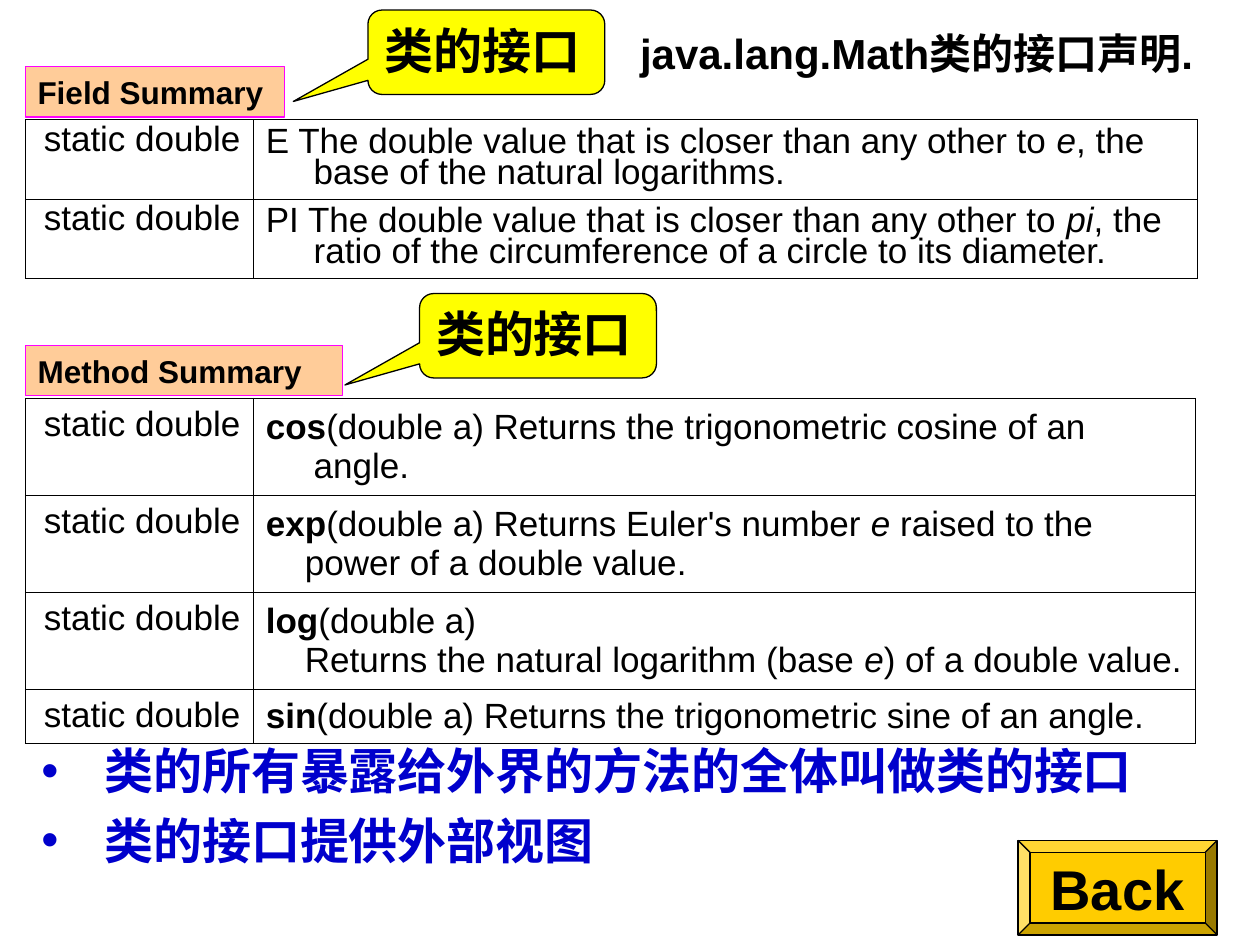
from lxml import etree
from pptx import Presentation
from pptx.dml.color import RGBColor
from pptx.enum.shapes import MSO_SHAPE
from pptx.enum.text import MSO_ANCHOR, MSO_AUTO_SIZE, PP_ALIGN
from pptx.oxml.ns import qn
from pptx.util import Inches, Pt

BLACK = RGBColor(0x00, 0x00, 0x00)
WHITE = RGBColor(0xFF, 0xFF, 0xFF)
PEACH = RGBColor(0xFF, 0xCC, 0x99)
MAGENTA = RGBColor(0xFF, 0x00, 0xFF)
GOLD = RGBColor(0xFF, 0xCC, 0x00)
YELLOW = RGBColor(0xFF, 0xFF, 0x00)
BLUE = RGBColor(0x00, 0x00, 0xCC)

RECTANGLE = MSO_SHAPE.RECTANGLE
BEVEL = MSO_SHAPE.BEVEL
CALLOUT = MSO_SHAPE.ROUNDED_RECTANGULAR_CALLOUT
TOP, MIDDLE = MSO_ANCHOR.TOP, MSO_ANCHOR.MIDDLE
LEFT, CENTER, RIGHT = PP_ALIGN.LEFT, PP_ALIGN.CENTER, PP_ALIGN.RIGHT
NO_AUTOFIT = MSO_AUTO_SIZE.NONE

LATIN, CJK = "Arial", "Noto Sans CJK SC"
HANGING = (0.38, -0.38)
CONTINUED = (0.31, 0)

# Each description is a list of paragraphs: (indents, [(text, style), ...])
FIELDS = [
    [(HANGING, [("E The double value that is closer than any other to ", ""),
                ("e", "i"), (", the base of the natural logarithms.", "")])],
    [(HANGING, [("PI The double value that is closer than any other to ", ""),
                ("pi", "i"),
                (", the ratio of the circumference of a circle to its diameter.", "")])],
]
METHODS = [
    [(HANGING, [("cos", "b"),
                ("(double a) Returns the trigonometric cosine of an angle.", "")])],
    [(HANGING, [("exp", "b"), ("(double a) Returns Euler's number ", ""),
                ("e", "i"), (" raised to the", "")]),
     (CONTINUED, [("power of a double value.", "")])],
    [(HANGING, [("log", "b"), ("(double a)", "")]),
     (CONTINUED, [("Returns the natural logarithm (base ", ""),
                  ("e", "i"), (") of a double value.", "")])],
    [(HANGING, [("sin", "b"),
                ("(double a) Returns the trigonometric sine of an angle.", "")])],
]
RETURN_TYPE = [(HANGING, [("static\u00a0double".replace("\u00a0", " "), "")])]


def add_run(paragraph, text, size, font=LATIN, color=BLACK, bold=False, italic=False):
    run = paragraph.add_run()
    run.text = text
    formats = {"size": Pt(size), "name": font, "bold": bold, "italic": italic}
    for attribute, value in formats.items():
        setattr(run.font, attribute, value)
    run.font.color.rgb = color
    east_asian = etree.SubElement(run.font._element, qn("a:ea"))
    east_asian.set("typeface", CJK)


def set_indents(paragraph, margin, first_line):
    properties = paragraph._p.get_or_add_pPr()
    properties.set("marL", str(Inches(margin)))
    properties.set("indent", str(Inches(first_line)))
    return properties


def format_frame(frame, anchor):
    formats = {"word_wrap": True, "auto_size": NO_AUTOFIT, "vertical_anchor": anchor}
    for attribute, value in formats.items():
        setattr(frame, attribute, value)


def add_title(slide, text):
    title = slide.shapes.title
    bounds = {"left": 4.98, "top": -0.03, "width": 4.68, "height": 0.9}
    for attribute, value in bounds.items():
        setattr(title, attribute, Inches(value))
    format_frame(title.text_frame, MIDDLE)
    paragraph = title.text_frame.paragraphs[0]
    paragraph.alignment = LEFT
    add_run(paragraph, text, 24, bold=True)


def add_label(slide, kind, bounds, text, size, fill, line=BLACK, font=LATIN,
              align=LEFT, anchor=MIDDLE):
    shape = slide.shapes.add_shape(kind, *map(Inches, bounds))
    shape.shadow.inherit = False
    shape.fill.solid()
    shape.fill.fore_color.rgb = fill
    shape.line.color.rgb = line
    shape.line.width = Pt(0.75)
    format_frame(shape.text_frame, anchor)
    paragraph = shape.text_frame.paragraphs[0]
    paragraph.alignment = align
    add_run(paragraph, text, size, font, bold=True)
    return shape


def add_callout(slide, left, top):
    callout = add_label(slide, CALLOUT, (left, top, 1.88, 0.67), "类的接口", 28,
                        YELLOW, font=CJK, anchor=TOP)
    for index, value in enumerate((-0.815, 0.583, 0.167)):
        callout.adjustments[index] = value


def add_borders(cell):
    properties = cell._tc.get_or_add_tcPr()
    for side in ("a:lnL", "a:lnR", "a:lnT", "a:lnB"):
        line = etree.SubElement(properties, qn(side), w=str(Pt(0.34)))
        fill = etree.SubElement(line, qn("a:solidFill"))
        etree.SubElement(fill, qn("a:srgbClr"), val=str(BLACK))


def fill_cell(cell, paragraphs, align, anchor, spacing):
    add_borders(cell)
    cell.fill.solid()
    cell.fill.fore_color.rgb = WHITE
    cell.vertical_anchor = anchor
    frame = cell.text_frame
    for index, (indents, runs) in enumerate(paragraphs):
        paragraph = frame.add_paragraph() if index else frame.paragraphs[0]
        set_indents(paragraph, *indents)
        paragraph.alignment = align
        paragraph.line_spacing = spacing
        for text, style in runs:
            add_run(paragraph, text, 20, bold=style == "b", italic=style == "i")


def add_summary_table(slide, top, descriptions, description_width, row_heights, spacing):
    widths = (1.81, description_width)
    table = slide.shapes.add_table(
        len(descriptions), 2, Inches(0.2), Inches(top),
        Inches(sum(widths)), Inches(sum(row_heights))).table
    table.first_row = table.horz_banding = False
    for column, width in zip(table.columns, widths):
        column.width = Inches(width)
    for index, (description, height) in enumerate(zip(descriptions, row_heights)):
        table.rows[index].height = Inches(height)
        fill_cell(table.cell(index, 0), RETURN_TYPE, RIGHT, TOP, spacing)
        fill_cell(table.cell(index, 1), description, LEFT, MIDDLE, spacing)


def add_bullets(slide, bounds, lines):
    frame = slide.shapes.add_textbox(*map(Inches, bounds)).text_frame
    format_frame(frame, TOP)
    for index, text in enumerate(lines):
        paragraph = frame.add_paragraph() if index else frame.paragraphs[0]
        if index:
            paragraph.space_before = Pt(6)
        properties = set_indents(paragraph, 0.5, -0.5)
        bullet_color = etree.SubElement(properties, qn("a:buClr"))
        etree.SubElement(bullet_color, qn("a:srgbClr"), val=str(BLUE))
        etree.SubElement(properties, qn("a:buFont"), typeface=LATIN)
        etree.SubElement(properties, qn("a:buChar"), char="•")
        add_run(paragraph, text, 28, CJK, BLUE, bold=True)


def main():
    presentation = Presentation()
    presentation.slide_width, presentation.slide_height = Inches(10), Inches(7.5)
    slide = presentation.slides.add_slide(presentation.slide_layouts[5])

    # Title and the two summary tables
    add_title(slide, "java.lang.Math类的接口声明.")
    add_summary_table(slide, 3.16, METHODS, 7.48, (0.77, 0.77, 0.77, 0.43), 1.0)
    add_summary_table(slide, 0.95, FIELDS, 7.49, (0.63, 0.63), 0.8)

    # Table headings, button and callouts
    add_label(slide, RECTANGLE, (0.2, 0.53, 2.06, 0.4), "Field Summary", 18, PEACH, MAGENTA)
    add_label(slide, RECTANGLE, (0.2, 2.74, 2.52, 0.4), "Method Summary", 18, PEACH, MAGENTA)
    add_label(slide, BEVEL, (8.08, 6.67, 1.58, 0.75), "Back", 32, GOLD, align=CENTER)
    add_callout(slide, 3.33, 2.33)
    add_callout(slide, 2.92, 0.08)

    # Conclusions
    add_bullets(slide, (0.23, 5.83, 9.02, 1.12),
                ("类的所有暴露给外界的方法的全体叫做类的接口", "类的接口提供外部视图"))
    presentation.save("out.pptx")


if __name__ == "__main__":
    main()
